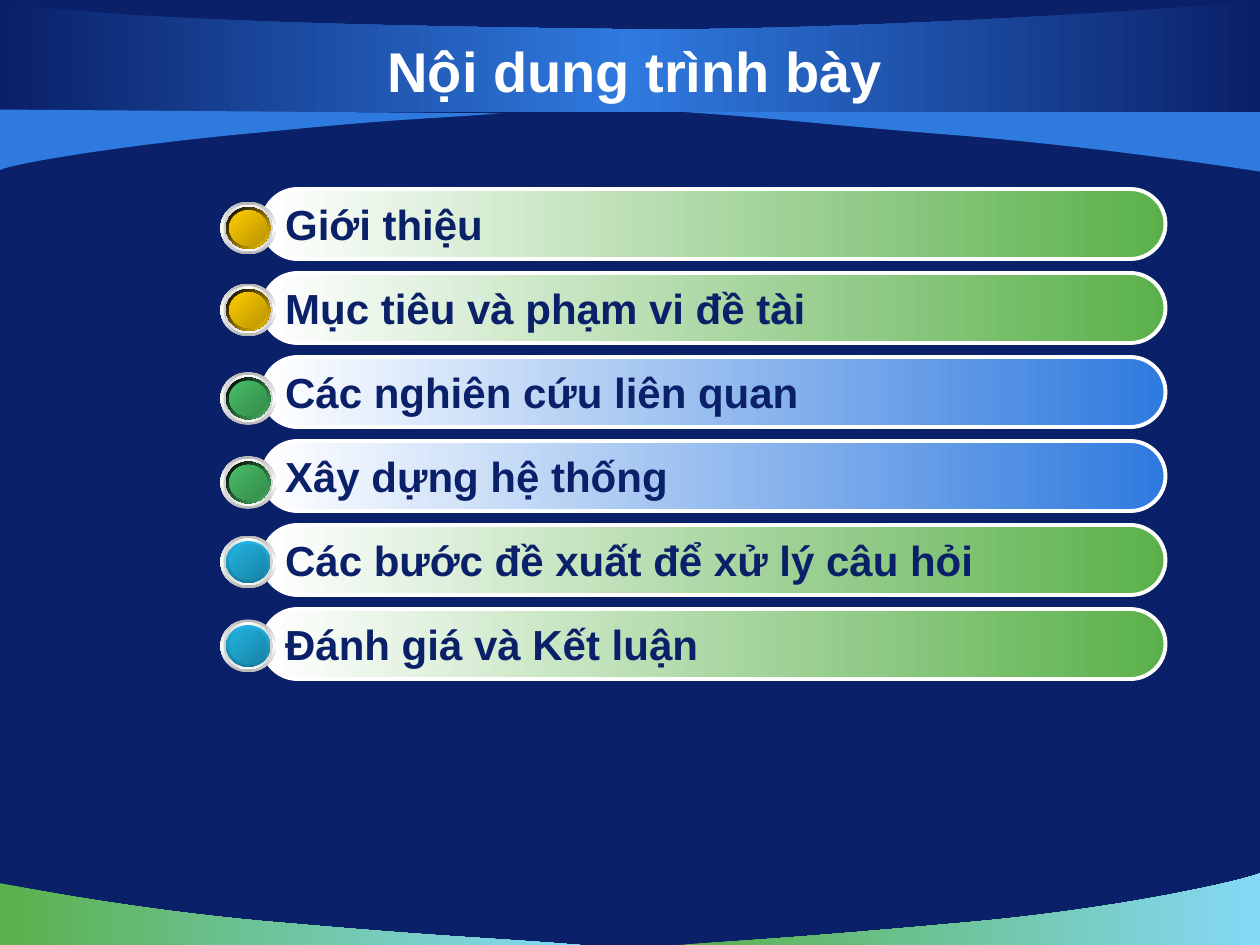
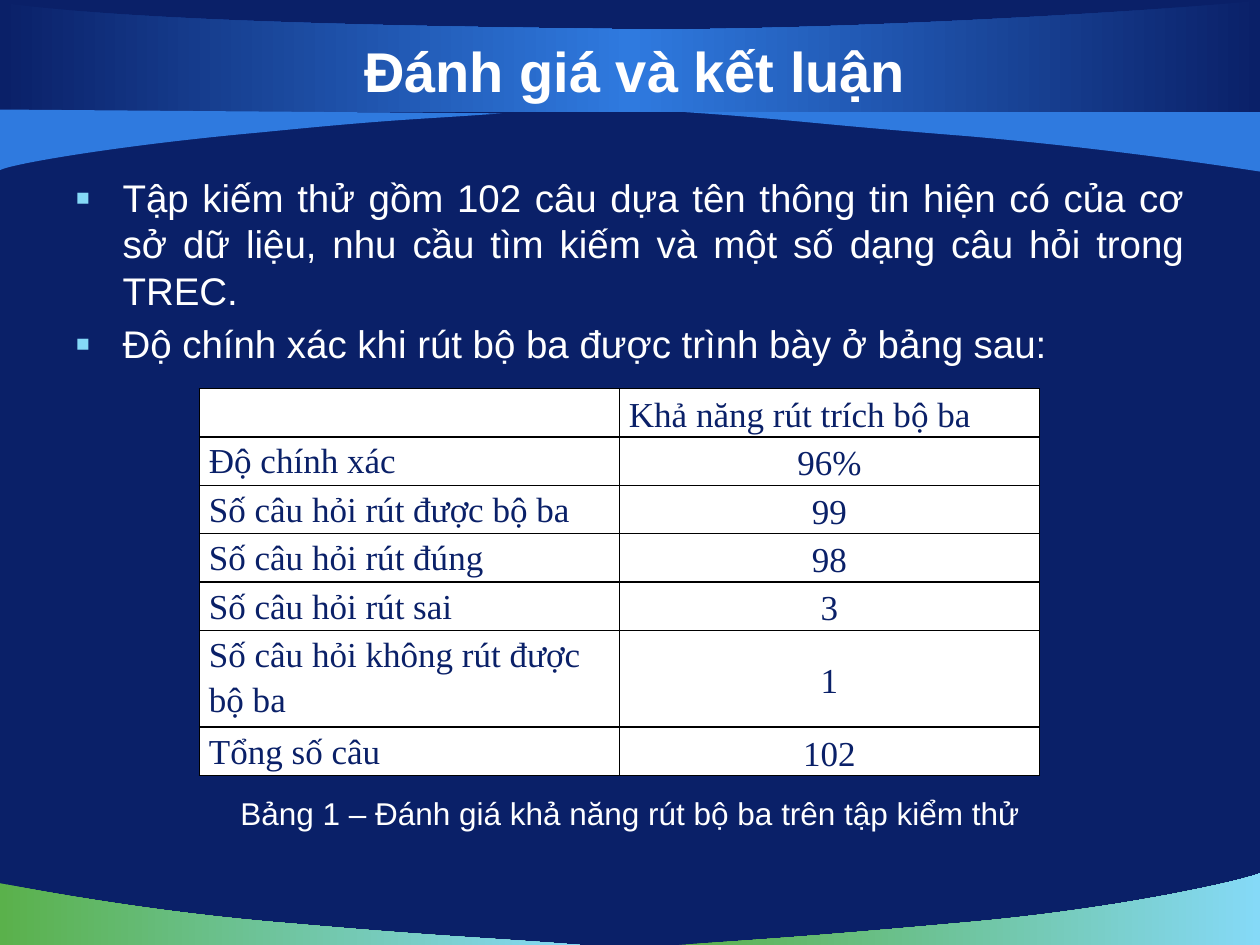
from dataclasses import dataclass

from lxml.etree import SubElement
from pptx import Presentation
from pptx.dml.color import RGBColor
from pptx.enum.shapes import MSO_SHAPE as Preset
from pptx.enum.text import MSO_ANCHOR as Anchor, MSO_AUTO_SIZE as AutoSize, PP_ALIGN as Align
from pptx.oxml.ns import qn
from pptx.util import Pt


@dataclass(frozen=True)
class Theme:
    """Colours, fonts and type sizes shared by the slides."""
    navy: str = "0A2068"
    blue: str = "2F7ADF"
    green: str = "5AB14B"
    sky: str = "85D9F7"
    white: str = "FFFFFF"
    black: str = "000000"
    silver: str = "B6B6B6"
    pale: str = "D1D1D1"
    sans: str = "Arial"
    serif: str = "Times New Roman"
    title: float = 32
    agenda: float = 24
    body: float = 22
    table: float = 20
    caption: float = 18


THEME = Theme()
GOLD_BUTTON = ((THEME.black, "FFCC00"), 45, ("FFCC00", "BA9500"))
GREEN_BUTTON = ((THEME.black, "48BE67"), 45, ("48BE67", "358B4B"))
BLUE_BUTTON = (("21B3E1", "1880A1"), 90, ("21B3E1", "1883A4"))

AGENDA = [
    ("Giới thiệu", THEME.green, GOLD_BUTTON, 7.2),
    ("Mục tiêu và phạm vi đề tài", THEME.green, GOLD_BUTTON, 6),
    ("Các nghiên cứu liên quan", THEME.blue, GREEN_BUTTON, 8.6),
    ("Xây dựng hệ thống", THEME.blue, GREEN_BUTTON, 8.6),
    ("Các bước đề xuất để xử lý câu hỏi", THEME.green, BLUE_BUTTON, 6),
    ("Đánh giá và Kết luận", THEME.green, BLUE_BUTTON, 6),
]
FINDINGS = [
    "Tập kiếm thử gồm 102 câu dựa tên thông tin hiện có của cơ sở dữ liệu, "
    "nhu cầu tìm kiếm và một số dạng câu hỏi trong TREC.",
    "Độ chính xác khi rút bộ ba được trình bày ở bảng sau:",
]
RESULTS = [
    ("", "Khả năng rút trích bộ ba"),
    ("Độ chính xác", "96%"),
    ("Số câu hỏi rút được bộ ba", "99"),
    ("Số câu hỏi rút đúng", "98"),
    ("Số câu hỏi rút sai", "3"),
    ("Số câu hỏi không rút được bộ ba", "1"),
    ("Tổng số câu", "102"),
]
ROW_HEIGHTS = (23, 21.8, 21.8, 21.8, 21.8, 43.6, 21.8)
HEADER_WAVES = [
    ([(391.7, 64.1), (446.4, 67.7), (462.2, 70.6), (553, 77.8),
      (643.7, 85.7), (719.3, 98), (720, 98)],
     [(720, 63.4)], (THEME.blue,)),
    ([(720, 0), (694.1, 4.3), (470.2, 18.7), (350.6, 16.6),
      (231.1, 15.1), (72.7, 12.2), (0, 1.4)],
     [(0, 64.1), (720, 64.1)], (THEME.navy, THEME.blue, THEME.navy)),
    ([(286.6, 64.8), (238.3, 68.4), (229, 67.7), (149.8, 75.6),
      (69.8, 82.8), (6.5, 93.6), (0, 97.2)],
     [(0, 62.6)], (THEME.blue,)),
]
FOOTER_WAVES = [
    ([(331.2, 41), (276.5, 36.7), (257.8, 36.7), (167, 28.8),
      (76.3, 21.6), (0.7, 5.7), (0, 5.7)],
     [(0, 41)], (THEME.green, THEME.sky)),
    ([(388.1, 41), (442.1, 37.4), (465.1, 36), (553.7, 28),
      (642.2, 20.1), (712.8, 3.6), (720, 0)],
     [(720, 41)], (THEME.green, THEME.sky)),
]


def apply(target, values):
    """Set each attribute in values on the target."""
    for name, value in values.items():
        setattr(target, name, value)


def points(box):
    """Turn a box in points into lengths."""
    return [Pt(value) for value in box]


def paint(shape, colours, angle=0):
    """Fill a shape with one colour or an even gradient, without line or shadow."""
    shape.shadow.inherit = False
    shape.line.fill.background()
    if len(colours) == 1:
        shape.fill.solid()
        shape.fill.fore_color.rgb = RGBColor.from_string(colours[0])
        return
    shape.fill.gradient()
    shape.fill.gradient_angle = -angle % 360
    stops = shape.element.spPr.find(qn("a:gradFill")).find(qn("a:gsLst"))
    for stop in list(stops):
        stops.remove(stop)
    for index, colour in enumerate(colours):
        position = index * 100000 // (len(colours) - 1)
        stop = SubElement(stops, qn("a:gs"), pos=str(position))
        SubElement(stop, qn("a:srgbClr"), val=colour)


def write(paragraph, text, size, colour, font=THEME.sans, bold=False, **layout):
    """Write one formatted run into a paragraph."""
    apply(paragraph, layout)
    if text:
        run = paragraph.add_run()
        run.text = text
        apply(run.font, {"size": Pt(size), "name": font, "bold": bold})
        run.font.color.rgb = RGBColor.from_string(colour)


def bend(shape, curve_count):
    """Turn the first segments of a freeform, three at a time, into cubic curves."""
    outline = next(shape.element.iter(qn("a:moveTo"))).getparent()
    segments = outline.findall(qn("a:lnTo"))
    for first in range(0, 3 * curve_count, 3):
        curve = SubElement(outline, qn("a:cubicBezTo"))
        segments[first].addprevious(curve)
        for segment in segments[first:first + 3]:
            curve.append(segment[0])
            outline.remove(segment)


def add_waves(slide, origin, waves, first_id):
    """Draw waves from an origin and move them to the layout of the slide."""
    left, top = origin
    for index, (controls, corners, colours) in enumerate(waves):
        outline = [(Pt(left + x), Pt(top + y)) for x, y in controls + corners]
        builder = slide.shapes.build_freeform(*outline[0])
        builder.add_line_segments(outline[1:], close=True)
        wave = builder.convert_to_shape()
        bend(wave, len(controls) // 3)
        paint(wave, colours)
        wave.element.nvSpPr.cNvPr.set("id", str(first_id + index))
        slide.slide_layout.shapes.element.insert(2 + index, wave.element)


def add_slide(presentation, title):
    """Add a title-only slide and format its title."""
    slide = presentation.slides.add_slide(presentation.slide_layouts[5])
    placeholder = slide.shapes.title
    apply(placeholder, dict(zip(("left", "top", "width", "height"), points((36, 18, 653.8, 44.6)))))
    frame = placeholder.text_frame
    apply(frame, {"vertical_anchor": Anchor.MIDDLE, "auto_size": AutoSize.NONE})
    write(frame.paragraphs[0], title, THEME.title, THEME.white, bold=True, alignment=Align.CENTER)
    return slide


def style_layout(slide):
    """Give the layout of the slide its background, header and footer."""
    fill = slide.slide_layout.background.fill
    fill.solid()
    fill.fore_color.rgb = RGBColor.from_string(THEME.navy)
    add_waves(slide, (0, 0), HEADER_WAVES, 101)
    add_waves(slide, (0, 499), FOOTER_WAVES, 111)


def add_button(slide, box, colours):
    """Draw a round button of nested rings."""
    left, top, width, height = box
    rim, rim_angle, core = colours
    rings = [(0, (THEME.silver, THEME.white, THEME.silver), 90),
             (1.7, (THEME.pale, THEME.white, THEME.pale), 0),
             (3.2, rim, rim_angle), (5, core, 45)]
    group = slide.shapes.add_group_shape()
    for inset, ring_colours, angle in rings:
        ring_box = (left + inset, top + inset, width - 2 * inset, height - 2 * inset)
        paint(group.shapes.add_shape(Preset.OVAL, *points(ring_box)), ring_colours, angle)


def add_agenda(slide, box, pitch=48, bar_height=40):
    """Stack the agenda bars, each with a button at its left end."""
    left, top, width, _ = box
    for index, (text, colour, button, drop) in enumerate(AGENDA):
        bar_top = top + index * pitch
        bar = slide.shapes.add_shape(Preset.ROUNDED_RECTANGLE,
                                     *points((left + 24, bar_top, width - 24, bar_height)))
        bar.adjustments[0] = 0.5
        paint(bar, (THEME.white, colour))
        bar.line.color.rgb = RGBColor.from_string(THEME.white)
        bar.line.width = Pt(2.25)
        apply(bar.text_frame, {"word_wrap": False, "vertical_anchor": Anchor.MIDDLE})
        write(bar.text_frame.paragraphs[0], text, THEME.agenda, THEME.navy, bold=True,
              alignment=Align.LEFT)
        add_button(slide, (left, bar_top + drop, 31.7, 30.2), button)


def add_bullet(paragraph):
    """Give a paragraph a hanging square bullet."""
    properties = paragraph._p.get_or_add_pPr()
    properties.set("marL", str(Pt(27)))
    properties.set("indent", str(Pt(-27)))
    colour = SubElement(properties, qn("a:buClr"))
    SubElement(colour, qn("a:srgbClr"), val=THEME.sky)
    SubElement(properties, qn("a:buSzPct"), val="115000")
    SubElement(properties, qn("a:buFont"), typeface=THEME.sans)
    SubElement(properties, qn("a:buChar"), char="▪")


def add_findings(slide, box):
    """Write the justified bullet list."""
    frame = slide.shapes.add_textbox(*points(box)).text_frame
    frame.word_wrap = True
    for index, text in enumerate(FINDINGS):
        paragraph = frame.add_paragraph() if index else frame.paragraphs[0]
        write(paragraph, text, THEME.body, THEME.white, alignment=Align.JUSTIFY,
              space_before=Pt(4.4))
        add_bullet(paragraph)


def add_borders(cell):
    """Draw thin black borders around a cell."""
    properties = cell._tc.get_or_add_tcPr()
    for side in ("a:lnL", "a:lnR", "a:lnT", "a:lnB"):
        line = SubElement(properties, qn(side), w=str(Pt(1)))
        SubElement(SubElement(line, qn("a:solidFill")), qn("a:srgbClr"), val=THEME.black)


def add_results(slide, box):
    """Build the results table."""
    graphic_frame = slide.shapes.add_table(len(RESULTS), 2, *points(box))
    table = graphic_frame.table
    apply(table, {"first_row": False, "horz_banding": False})
    for row_index, values in enumerate(RESULTS):
        table.rows[row_index].height = Pt(ROW_HEIGHTS[row_index])
        for column_index, text in enumerate(values):
            cell = table.cell(row_index, column_index)
            add_borders(cell)
            cell.fill.solid()
            cell.fill.fore_color.rgb = RGBColor.from_string(THEME.white)
            apply(cell, {"margin_left": Pt(5.4), "margin_right": Pt(5.4), "margin_top": 0,
                         "margin_bottom": 0,
                         "vertical_anchor": Anchor.MIDDLE if column_index else Anchor.TOP})
            centred = row_index and column_index
            write(cell.text_frame.paragraphs[0], text, THEME.table, THEME.navy, THEME.serif,
                  alignment=Align.CENTER if centred else Align.LEFT, line_spacing=1.15)
    graphic_frame.height = Pt(box[3])


def add_caption(slide, box):
    """Write the centred caption of the table."""
    frame = slide.shapes.add_textbox(*points(box)).text_frame
    frame.word_wrap = True
    write(frame.paragraphs[0], "Bảng 1 – Đánh giá khả năng rút bộ ba trên tập kiểm thử",
          THEME.caption, THEME.white, alignment=Align.CENTER)


def main():
    """Build the presentation and save it."""
    presentation = Presentation()
    apply(presentation, {"slide_width": Pt(720), "slide_height": Pt(540)})
    agenda = add_slide(presentation, "Nội dung trình bày")
    style_layout(agenda)
    add_agenda(agenda, (126, 108, 540, 280))
    evaluation = add_slide(presentation, "Đánh giá và kết luận")
    add_findings(evaluation, (36, 96, 648, 408))
    add_results(evaluation, (114, 222, 480, 221))
    add_caption(evaluation, (96, 450, 528, 28.8))
    presentation.save("out.pptx")


if __name__ == "__main__":
    main()
